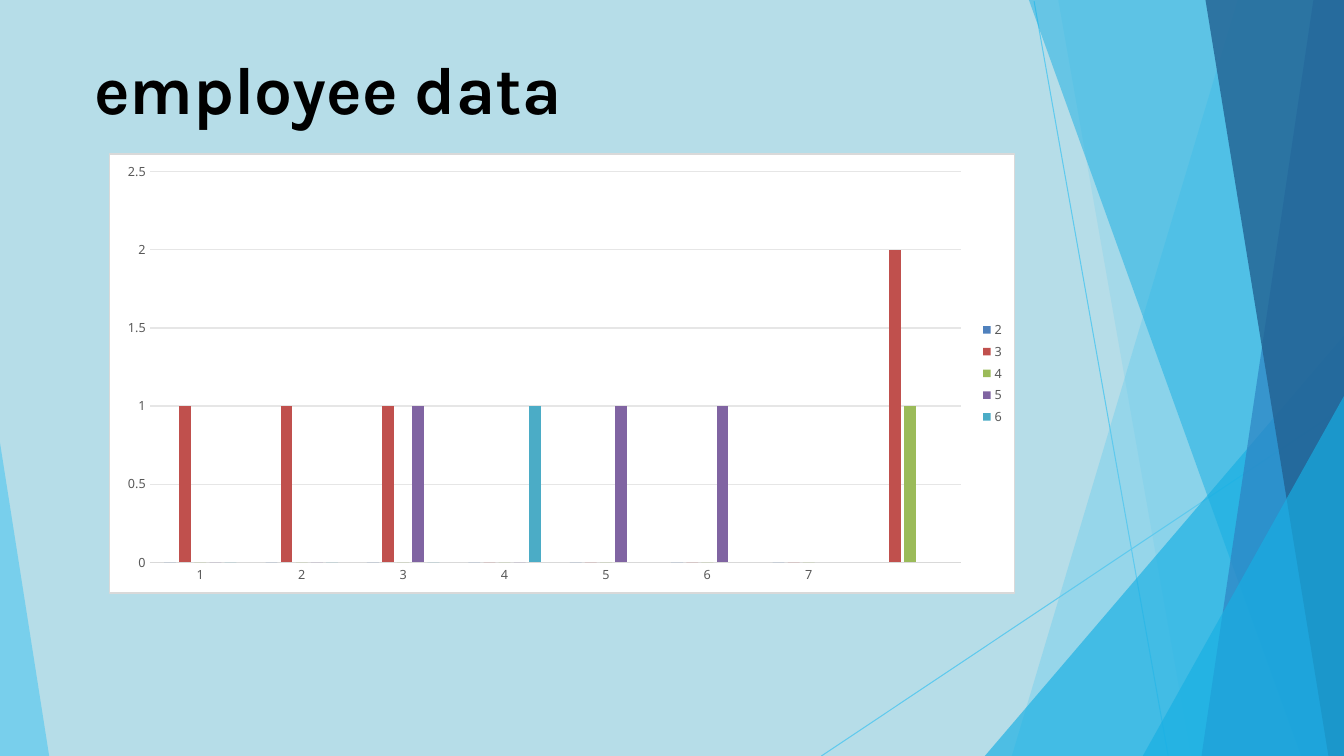
from lxml.etree import SubElement
from pptx import Presentation
from pptx.chart.data import CategoryChartData
from pptx.dml.color import RGBColor
from pptx.enum.chart import XL_CHART_TYPE, XL_LEGEND_POSITION, XL_TICK_MARK
from pptx.enum.shapes import MSO_CONNECTOR
from pptx.enum.text import MSO_ANCHOR, PP_ALIGN
from pptx.oxml import parse_xml
from pptx.oxml.ns import nsdecls, qn
from pptx.util import Cm, Pt

WIDTH, HEIGHT = 33.87, 19.05
SKY, AZURE, BLUE, NAVY = "5FCAEE", "17AFE3", "2D83C3", "226192"
RAYS = [((26.06, 0.03), (29.44, HEIGHT)), ((WIDTH, 10.26), (20.7, HEIGHT))]
TOP_RIGHT, BOTTOM_RIGHT = (WIDTH, 0), (WIDTH, HEIGHT)
FACETS = [
    (SKY, 36, [TOP_RIGHT, (31.19, 0), (25.5, HEIGHT), BOTTOM_RIGHT]),
    (SKY, 20, [TOP_RIGHT, (26.67, 0), (30.02, HEIGHT), BOTTOM_RIGHT]),
    (AZURE, 66, [(WIDTH, 8.46), (24.82, HEIGHT), BOTTOM_RIGHT]),
    (AZURE, 50, [TOP_RIGHT, (25.93, 0), (32.79, HEIGHT), BOTTOM_RIGHT]),
    (BLUE, 70, [TOP_RIGHT, (33.1, 0), (30.28, HEIGHT), BOTTOM_RIGHT]),
    (NAVY, 80, [TOP_RIGHT, (30.38, 0), (33.48, HEIGHT), BOTTOM_RIGHT]),
    (AZURE, 66, [(WIDTH, 9.98), (28.8, HEIGHT), BOTTOM_RIGHT]),
    (SKY, 70, [(0, 11.15), (0, HEIGHT), (1.24, HEIGHT)]),
]
CATEGORIES = ["1", "2", "3", "4", "5", "6", "7", ""]
SERIES = [
    ("2", "4F81BD", [0, 0, 0, 0, 0, 0, 0, None]),
    ("3", "C0504D", [1, 1, 1, 0, 0, 0, 0, 2]),
    ("4", "9BBB59", [0, 0, 0, 0, 0, 0, 0, 1]),
    ("5", "8064A2", [0, 0, 1, 0, 1, 1, None, None]),
    ("6", "4BACC6", [0, 0, 0, 1, None, None, None, None]),
]


def color(value):
    return RGBColor.from_string(value)


class SlideBuilder:
    title_font = "Karla"
    chart_font = "Noto Sans"
    label_color = "595959"
    border_color = "D9D9D9"
    grid_color = "E6E6E6"

    def __init__(self, deck):
        self.page = deck.slides.add_slide(deck.slide_layouts[5])

    def background(self, value):
        fill = self.page.background.fill
        fill.solid()
        fill.fore_color.rgb = color(value)

    def ray(self, start, end):
        points = [Cm(value) for value in (*start, *end)]
        line = self.page.shapes.add_connector(MSO_CONNECTOR.STRAIGHT, *points)
        line.line.color.rgb = color(SKY)
        line.line.width = Pt(0.75)
        SubElement(line.element.spPr, qn("a:effectLst"))

    def facet(self, value, opacity, corners):
        points = [(Cm(x), Cm(y)) for x, y in corners]
        builder = self.page.shapes.build_freeform(*points[0])
        builder.add_line_segments(points[1:], close=True)
        shape = builder.convert_to_shape()
        shape.shadow.inherit = False
        shape.line.fill.background()
        shape.fill.solid()
        shape.fill.fore_color.rgb = color(value)
        tint = shape.element.spPr.find(qn("a:solidFill"))[0]
        SubElement(tint, qn("a:alpha")).set("val", str(opacity * 1000))

    def title(self, text, left, top, width, height):
        box = self.page.shapes.title
        box.left, box.top, box.width, box.height = map(Cm, (left, top, width, height))
        box.text_frame.vertical_anchor = MSO_ANCHOR.TOP
        para = box.text_frame.paragraphs[0]
        para.alignment = PP_ALIGN.LEFT
        span = para.add_run()
        span.text = text
        span.font.name = self.title_font
        span.font.size = Pt(48)
        span.font.bold = True
        span.font.color.rgb = color("000000")

    def style_font(self, font, size, value):
        font.name = self.chart_font
        font.size = Pt(size)
        font.color.rgb = color(value)

    def column_chart(self, categories, series, left, top, width, height):
        data = CategoryChartData()
        data.categories = categories
        for name, _, values in series:
            data.add_series(name, values)
        frame = self.page.shapes.add_chart(
            XL_CHART_TYPE.COLUMN_CLUSTERED, *map(Cm, (left, top, width, height)), data)
        chart = frame.chart
        chart.has_title = False
        self.style_font(chart.font, 10, "000000")
        chart.has_legend = True
        chart.legend.position = XL_LEGEND_POSITION.RIGHT
        chart.legend.include_in_layout = False
        self.style_font(chart.legend.font, 9, self.label_color)

        plot = chart.plots[0]
        plot.gap_width, plot.overlap, plot.vary_by_categories = 246, -28, False
        for bars, (_, value, _) in zip(plot.series, series):
            bars.format.fill.solid()
            bars.format.fill.fore_color.rgb = color(value)

        for axis in (chart.category_axis, chart.value_axis):
            axis.major_tick_mark = axis.minor_tick_mark = XL_TICK_MARK.NONE
            self.style_font(axis.tick_labels.font, 9, self.label_color)
        chart.category_axis.format.line.color.rgb = color(self.border_color)
        chart.category_axis.format.line.width = Pt(1)
        chart.value_axis.format.line.fill.background()
        grid = chart.value_axis.major_gridlines.format.line
        grid.color.rgb = color(self.grid_color)
        grid.width = Pt(1)
        self.chart_area(chart)

    def chart_area(self, chart):
        area = parse_xml(
            f'<c:spPr {nsdecls("c", "a")}>'
            '<a:solidFill><a:srgbClr val="FFFFFF"/></a:solidFill>'
            f'<a:ln w="{Pt(1)}"><a:solidFill><a:srgbClr val="{self.border_color}"/>'
            '</a:solidFill></a:ln></c:spPr>')
        chart.element.find(qn("c:chart")).addnext(area)


def main():
    deck = Presentation()
    deck.slide_width, deck.slide_height = Cm(WIDTH), Cm(HEIGHT)
    slide = SlideBuilder(deck)
    slide.background("B6DDE8")
    for start, end in RAYS:
        slide.ray(start, end)
    for value, opacity, corners in FACETS:
        slide.facet(value, opacity, corners)
    slide.title("employee data", 2.12, 1.07, 29.67, 2.06)
    slide.column_chart(CATEGORIES, SERIES, 2.75, 3.86, 22.83, 11.1)
    deck.save("out.pptx")


if __name__ == "__main__":
    main()
